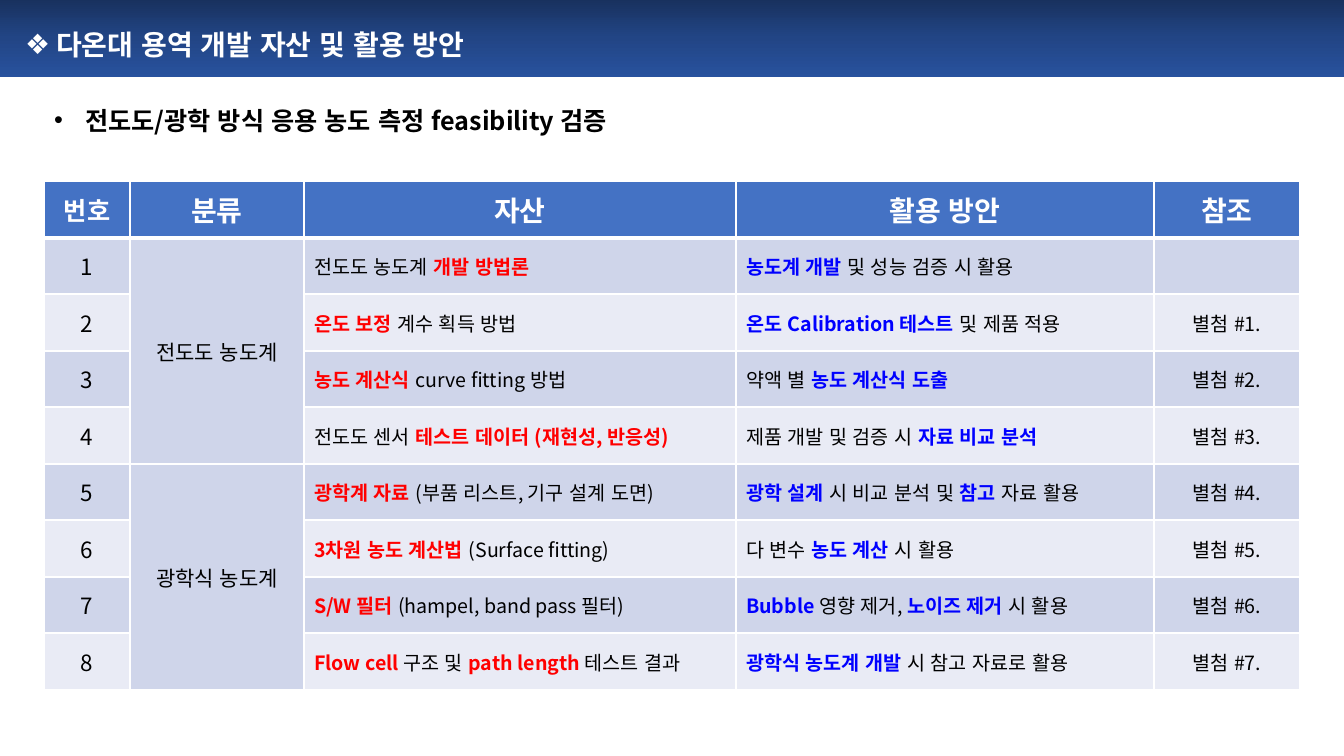
import copy
from dataclasses import dataclass

import pptx
import pptx.dml.color
import pptx.enum.lang
import pptx.enum.shapes
import pptx.enum.text
import pptx.oxml
import pptx.oxml.ns
import pptx.util

PX = 914400 / 100.8
ALIGN = pptx.enum.text.PP_ALIGN
MIDDLE = pptx.enum.text.MSO_ANCHOR.MIDDLE
qn = pptx.oxml.ns.qn


@dataclass(frozen=True)
class Theme:
    font: str = "Noto Sans CJK KR"
    white: str = "FFFFFF"
    black: str = "000000"
    red: str = "FF0000"
    blue: str = "0000FF"
    header: str = "4472C4"
    bands: tuple = ("CFD5EA", "E9EBF5")
    banner: tuple = ("18315E", "224585", "28529E")
    title_size: int = 20
    subtitle_size: int = 18
    number_size: int = 16
    group_size: int = 15
    cell_size: int = 14


THEME = Theme()

COLUMN_WIDTHS = (86, 174, 432, 418, 146)
TABLE_HEIGHT = 509
HEADINGS = ("번호", "분류", "자산", "활용 방안", "참조")
GROUPS = ("전도도 농도계", "광학식 농도계")
GROUP_ROWS = 4
# Asset, use and reference; text between asterisks is emphasised.
ASSETS = (
    ("전도도 농도계 *개발 방법론*", "*농도계 개발* 및 성능 검증 시 활용", ""),
    ("*온도 보정* 계수 획득 방법", "*온도 Calibration 테스트* 및 제품 적용", "별첨 #1."),
    ("*농도 계산식 *curve fitting 방법", "약액 별 *농도 계산식 도출*", "별첨 #2."),
    ("전도도 센서 *테스트 데이터 (재현성, 반응성)*",
     "제품 개발 및 검증 시 *자료 비교 분석*", "별첨 #3."),
    ("*광학계 자료 *(부품 리스트, 기구 설계 도면)",
     "*광학 설계* 시 비교 분석 및 *참고* 자료 활용", "별첨 #4."),
    ("*3차원 농도 계산법 *(Surface fitting)", "다 변수 *농도 계산* 시 활용", "별첨 #5."),
    ("*S/W 필터 *(hampel, band pass 필터)",
     "*Bubble *영향 제거, *노이즈 제거* 시 활용", "별첨 #6."),
    ("*Flow cell *구조 및 *path length *테스트 결과",
     "*광학식 농도계 개발* 시 참고 자료로 활용", "별첨 #7."),
)


def px(length):
    return pptx.util.Emu(round(length * PX))


def rgb(color):
    return pptx.dml.color.RGBColor.from_string(color)


def add_run(paragraph, text, size, color, bold=False):
    run = paragraph.add_run()
    run.text = text
    run.font.size = pptx.util.Pt(size)
    run.font.bold = bold
    run.font.language_id = pptx.enum.lang.MSO_LANGUAGE_ID.KOREAN
    run.font.color.rgb = rgb(color)
    run.font.name = THEME.font
    east_asian = pptx.oxml.parse_xml(
        f'<a:ea {pptx.oxml.ns.nsdecls("a")} typeface="{THEME.font}"/>')
    run.font._element.find(qn("a:latin")).addnext(east_asian)


def add_banner(slide):
    banner = slide.shapes.add_shape(
        pptx.enum.shapes.MSO_SHAPE.RECTANGLE, px(0), px(-1), px(1344), px(78))
    banner.shadow.inherit = False
    banner.line.fill.background()
    banner.fill.gradient()
    stop_list = banner._element.spPr.find(".//" + qn("a:gsLst"))
    stop_list.insert(1, copy.deepcopy(stop_list[0]))
    for i, (stop, color) in enumerate(zip(banner.fill.gradient_stops, THEME.banner)):
        stop.position = i / 2
        stop.color.rgb = rgb(color)
    banner.fill.gradient_angle = 270
    # The banner lies behind the placeholders.
    slide.shapes._spTree.insert(2, banner._element)


def fill_bulleted(placeholder, box, text, bullet, size, color, spacing=1.0, after=0):
    placeholder.left, placeholder.top, placeholder.width, placeholder.height = map(px, box)
    frame = placeholder.text_frame
    frame.word_wrap = True
    frame.auto_size = pptx.enum.text.MSO_AUTO_SIZE.NONE
    frame.vertical_anchor = MIDDLE
    paragraph = frame.paragraphs[0]
    paragraph.alignment = ALIGN.LEFT
    paragraph.line_spacing = spacing
    paragraph.space_before = pptx.util.Pt(0)
    paragraph.space_after = pptx.util.Pt(after)
    properties = paragraph._p.get_or_add_pPr()
    properties.set("marL", str(px(31)))
    properties.set("indent", str(px(-31)))
    for tag, key, value in (("buFont", "typeface", "Arial"), ("buChar", "char", bullet)):
        properties.append(pptx.oxml.parse_xml(
            f'<a:{tag} {pptx.oxml.ns.nsdecls("a")} {key}="{value}"/>'))
    add_run(paragraph, text, size, color, bold=True)


def set_borders(cell, top, bottom):
    """Draw white borders; top and bottom are widths in points."""
    properties = cell._tc.get_or_add_tcPr()
    for side, width in (("L", 1), ("R", 1), ("T", top), ("B", bottom)):
        properties.append(pptx.oxml.parse_xml(
            f'<a:ln{side} {pptx.oxml.ns.nsdecls("a")} w="{pptx.util.Pt(width)}">'
            f'<a:solidFill><a:srgbClr val="{THEME.white}"/></a:solidFill></a:ln{side}>'))


def fill_cell(cell, text, size, color=THEME.black, accent=THEME.black,
              bold=False, align=ALIGN.CENTER):
    """Write text, with the parts between asterisks bold in the accent colour."""
    cell.vertical_anchor = MIDDLE
    paragraph = cell.text_frame.paragraphs[0]
    paragraph.alignment = align
    for i, part in enumerate(text.split("*")):
        if part:
            emphasised = i % 2 == 1
            add_run(paragraph, part, size, accent if emphasised else color,
                    bold or emphasised)


def add_asset_table(slide):
    row_count = len(ASSETS) + 1
    table = slide.shapes.add_table(
        row_count, len(HEADINGS), px(44), px(181),
        px(sum(COLUMN_WIDTHS)), px(TABLE_HEIGHT)).table
    for column, width in zip(table.columns, COLUMN_WIDTHS):
        column.width = px(width)
    edges = [round(TABLE_HEIGHT * i / row_count) for i in range(row_count + 1)]
    for r, row in enumerate(table.rows):
        row.height = px(edges[r + 1] - edges[r])
        for c, cell in enumerate(row.cells):
            set_borders(cell, top=3 if r == 1 else 1, bottom=3 if r == 0 else 1)
            cell.fill.solid()
            band = THEME.bands[0 if c == 1 else (r - 1) % 2]
            cell.fill.fore_color.rgb = rgb(THEME.header if r == 0 else band)

    for c, heading in enumerate(HEADINGS):
        size = THEME.subtitle_size if c == 0 else THEME.title_size
        fill_cell(table.cell(0, c), heading, size, THEME.white, bold=True)
    for i, group in enumerate(GROUPS):
        first = 1 + i * GROUP_ROWS
        table.cell(first, 1).merge(table.cell(first + GROUP_ROWS - 1, 1))
        fill_cell(table.cell(first, 1), group, THEME.group_size)
    for r, (asset, use, reference) in enumerate(ASSETS, start=1):
        fill_cell(table.cell(r, 0), str(r), THEME.number_size)
        fill_cell(table.cell(r, 2), asset, THEME.cell_size,
                  accent=THEME.red, align=ALIGN.LEFT)
        fill_cell(table.cell(r, 3), use, THEME.cell_size,
                  accent=THEME.blue, align=ALIGN.LEFT)
        fill_cell(table.cell(r, 4), reference, THEME.cell_size)


def main():
    deck = pptx.Presentation()
    deck.slide_width, deck.slide_height = px(1344), px(756)
    slide = deck.slides.add_slide(deck.slide_layouts[1])
    add_banner(slide)
    fill_bulleted(slide.shapes.title, (15, 9, 665, 54), "다온대 용역 개발 자산 및 활용 방안",
                  "❖", THEME.title_size, THEME.white, spacing=1.5, after=6)
    fill_bulleted(slide.placeholders[1], (44, 100, 673, 40),
                  "전도도/광학 방식 응용 농도 측정 feasibility 검증",
                  "•", THEME.subtitle_size, THEME.black)
    add_asset_table(slide)
    deck.save("out.pptx")


if __name__ == "__main__":
    main()
